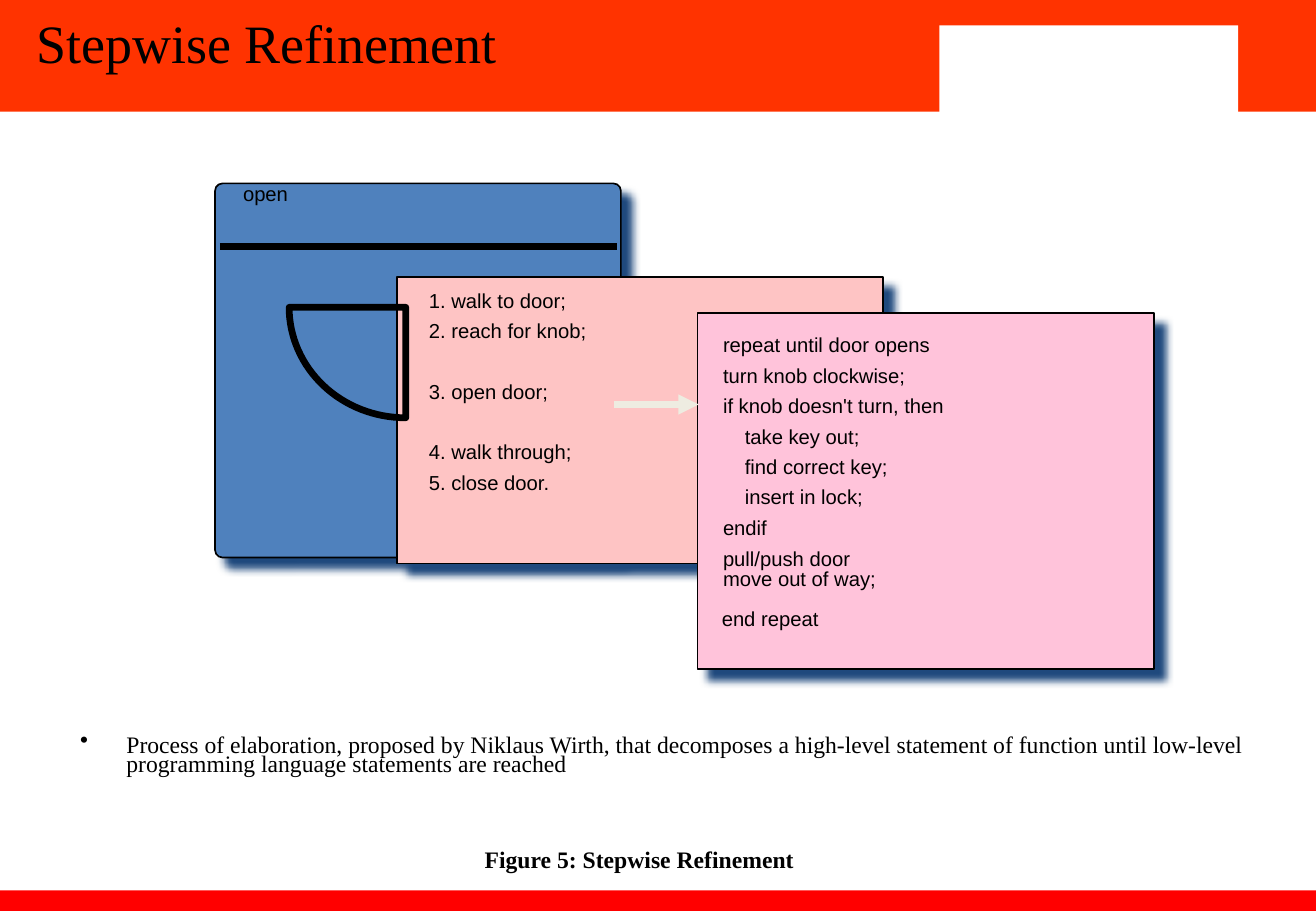
from dataclasses import dataclass
from math import cos, pi, sin

from lxml import etree
from pptx import Presentation
from pptx.dml.color import RGBColor
from pptx.enum.shapes import MSO_CONNECTOR, MSO_SHAPE
from pptx.enum.text import MSO_ANCHOR, MSO_AUTO_SIZE, PP_ALIGN
from pptx.oxml import parse_xml
from pptx.oxml.ns import nsdecls, qn
from pptx.util import Emu, Pt

RECT = MSO_SHAPE.RECTANGLE
ROUNDED = MSO_SHAPE.ROUNDED_RECTANGLE
STRAIGHT = MSO_CONNECTOR.STRAIGHT
TOP = MSO_ANCHOR.TOP
NO_FIT = MSO_AUTO_SIZE.NONE
LEFT = PP_ALIGN.LEFT
EMU_PER_PX = 9144
TITLE_ONLY = 5


@dataclass(frozen=True)
class Theme:
    header: str = "FF3300"
    footer: str = "FF0000"
    paper: str = "FFFFFF"
    ink: str = "000000"
    blue: str = "4F81BD"
    salmon: str = "FEC4C4"
    pink: str = "FFC3DA"
    shadow: str = "1F497D"
    arrow: str = "EEECE1"
    serif: str = "Times New Roman"
    sans: str = "Arial"
    title_size: int = 32
    body_size: int = 14
    step_size: int = 12
    thin: int = 1
    thick: int = 4


def px(length):
    return Emu(round(length * EMU_PER_PX))


def rgb(colour):
    return RGBColor.from_string(colour)


class SlideBuilder:
    def __init__(self, slide, theme):
        self.slide = slide
        self.shapes = slide.shapes
        self.theme = theme

    def fill_text(self, frame, lines, font, size, bold=False, spacing=None, insets=(11, 5)):
        frame.word_wrap = True
        frame.auto_size = NO_FIT
        frame.vertical_anchor = TOP
        frame.margin_left = frame.margin_right = px(insets[0])
        frame.margin_top = frame.margin_bottom = px(insets[1])
        for index, line in enumerate(lines):
            paragraph = frame.add_paragraph() if index else frame.paragraphs[0]
            paragraph.alignment = LEFT
            paragraph.line_spacing = spacing
            run = paragraph.add_run()
            run.text = line
            run.font.name = font
            run.font.size = Pt(size)
            run.font.bold = bold
            run.font.color.rgb = rgb(self.theme.ink)

    def title(self, text, left, top, width, height):
        heading = self.shapes.title
        heading.left, heading.top = px(left), px(top)
        heading.width, heading.height = px(width), px(height)
        self.fill_text(heading.text_frame, [text], self.theme.serif,
                       self.theme.title_size, spacing=0.9, insets=(8, 3))
        heading.element.getparent().append(heading.element)

    def text(self, lines, left, top, width, height, font=None, size=None, **style):
        box = self.shapes.add_textbox(px(left), px(top), px(width), px(height))
        self.fill_text(box.text_frame, lines, font or self.theme.sans,
                       size or self.theme.step_size, **style)
        return box.text_frame.paragraphs[0]

    def indent(self, paragraph, margin, first=0, bullet=None):
        properties = paragraph._p.get_or_add_pPr()
        properties.set("marL", str(px(margin)))
        properties.set("indent", str(px(first)))
        if bullet:
            etree.SubElement(properties, qn("a:buChar")).set("char", bullet)

    def band(self, colour, left, top, width, height, kind=RECT):
        band = self.shapes.add_shape(kind, px(left), px(top), px(width), px(height))
        band.shadow.inherit = False
        band.fill.solid()
        band.fill.fore_color.rgb = rgb(colour)
        band.line.fill.background()
        return band

    def outline(self, line, colour, width):
        line.color.rgb = rgb(colour)
        line.width = Pt(width)

    def panel(self, colour, left, top, width, height, kind=RECT):
        panel = self.band(colour, left, top, width, height, kind)
        self.outline(panel.line, self.theme.ink, self.theme.thin)
        effects = panel.element.spPr.find(qn("a:effectLst"))
        effects.append(parse_xml(
            f'<a:outerShdw {nsdecls("a")} blurRad="{Pt(5)}" dist="{Pt(8.5)}" '
            f'dir="2700000" algn="tl" rotWithShape="0">'
            f'<a:srgbClr val="{self.theme.shadow}"/></a:outerShdw>'))
        return panel

    def steps(self, rows, left, top, width, pitch=25, height=51):
        for row, depth, line in rows:
            paragraph = self.text([line], left, top + row * pitch, width, height)
            if depth:
                self.indent(paragraph, depth * 18)

    def line(self, colour, start, end, arrow=False):
        connector = self.shapes.add_connector(
            STRAIGHT, *(px(value) for value in (*start, *end)))
        self.outline(connector.line, colour, self.theme.thick)
        properties = connector.element.spPr
        if arrow:
            etree.SubElement(properties.find(qn("a:ln")),
                             qn("a:tailEnd")).set("type", "triangle")
        etree.SubElement(properties, qn("a:effectLst"))

    def door_swing(self, hinge, reach_x, reach_y, segments=32):
        x, y = hinge
        angles = [pi / 2 * step / segments for step in range(segments + 1)]
        arc = [(px(x - reach_x * sin(angle)), px(y + reach_y * cos(angle)))
               for angle in angles]
        builder = self.shapes.build_freeform(*arc[0])
        builder.add_line_segments(arc[1:] + [(px(x), px(y))], close=True)
        swing = builder.convert_to_shape()
        swing.shadow.inherit = False
        swing.fill.background()
        self.outline(swing.line, self.theme.ink, self.theme.thick)
        etree.SubElement(swing.element.spPr.find(qn("a:ln")), qn("a:round"))


def main():
    theme = Theme()
    deck = Presentation()
    deck.slide_width, deck.slide_height = px(1083), px(750)
    slide = deck.slides.add_slide(deck.slide_layouts[TITLE_ONLY])
    page = SlideBuilder(slide, theme)

    page.band(theme.header, 0, 0, 1083, 92)
    page.band(theme.footer, 0, 733, 1083, 17)
    page.band(theme.paper, 773, 21, 246, 75)
    page.title("Stepwise Refinement", 22, 11, 461, 60)

    summary = page.text(
        ["Process of elaboration, proposed by Niklaus Wirth, that decomposes a "
         "high-level statement of function until low-level programming language "
         "statements are reached"],
        54, 607, 975, 60, theme.serif, theme.body_size, spacing=0.7, insets=(0, 0))
    page.indent(summary, 50, -38, "•")

    goal = page.panel(theme.blue, 177, 151, 334, 308, ROUNDED)
    goal.adjustments[0] = 0.02
    page.line(theme.ink, (181, 203), (508, 203))
    page.text(["open"], 189, 144, 102, 31)

    page.panel(theme.salmon, 327, 228, 400, 236)
    page.steps([(0, 0, "1. walk to door;"), (1, 0, "2. reach for knob;"),
                (3, 0, "3. open door;"), (5, 0, "4. walk through;"),
                (6, 0, "5. close door.")], 342, 232, 240)

    page.panel(theme.pink, 574, 258, 376, 293)
    page.steps([(0, 0, "repeat until door opens"), (1, 0, "turn knob clockwise;"),
                (2, 0, "if knob doesn't turn, then"), (3, 1, "take key out;"),
                (4, 1, "find correct key;"), (5, 1, "insert in lock;"),
                (6, 0, "endif")], 584, 269, 325)
    page.text(["pull/push door", "move out of way;"], 584, 449, 232, 63, spacing=0.8)
    page.text(["end repeat"], 583, 494, 155, 31)

    page.line(theme.arrow, (505, 333), (575, 333), arrow=True)
    page.door_swing((334, 253), 96, 91)
    page.text(["Figure 5: Stepwise Refinement"], 389, 691, 277, 34,
              theme.serif, theme.body_size, bold=True, insets=(10, 5))

    deck.save("out.pptx")


if __name__ == "__main__":
    main()
